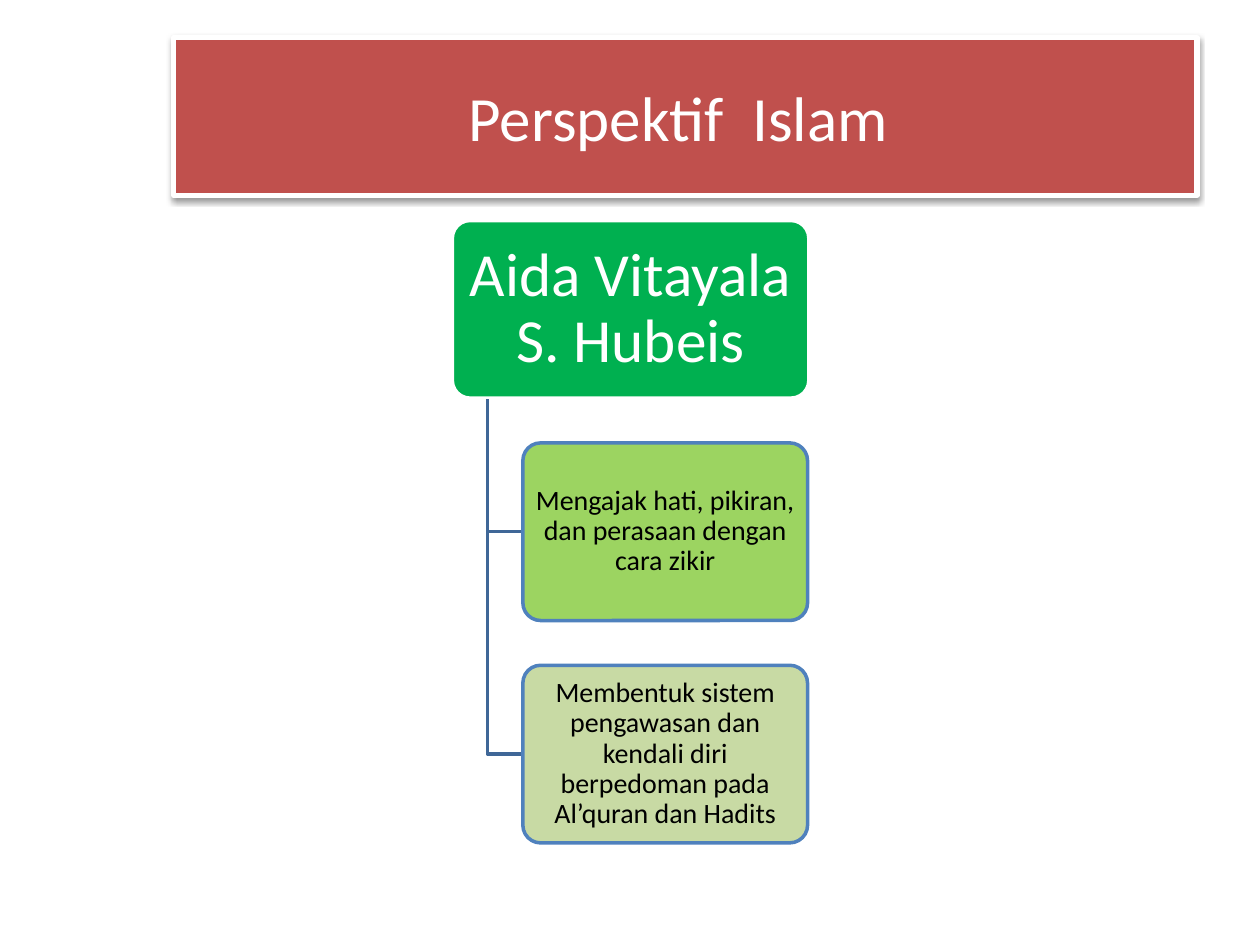
from lxml import etree
from pptx import Presentation
from pptx.dml.color import RGBColor
from pptx.enum.shapes import MSO_SHAPE
from pptx.enum.text import MSO_ANCHOR, PP_ALIGN
from pptx.oxml import parse_xml
from pptx.oxml.ns import qn
from pptx.util import Inches, Pt

RECTANGLE = MSO_SHAPE.RECTANGLE
ROUNDED = MSO_SHAPE.ROUNDED_RECTANGLE
MIDDLE = MSO_ANCHOR.MIDDLE
CENTER = PP_ALIGN.CENTER
NAMESPACE = "http://schemas.openxmlformats.org/drawingml/2006/main"


def color(value):
    return RGBColor.from_string(value)


def add_box(kind, place, fill, line, line_width, text, size, text_color, insets):
    box = page.shapes.add_shape(kind, *[Inches(v) for v in place])
    box.shadow.inherit = False
    box.fill.solid()
    box.fill.fore_color.rgb = color(fill)
    box.line.color.rgb = color(line)
    box.line.width = Pt(line_width)
    frame = box.text_frame
    frame.word_wrap = True
    frame.vertical_anchor = MIDDLE
    frame.margin_left = frame.margin_right = Inches(insets[0])
    frame.margin_top = frame.margin_bottom = Inches(insets[1])
    para = frame.paragraphs[0]
    para.alignment = CENTER
    span = para.add_run()
    span.text = text
    span.font.name = "Calibri"
    span.font.size = Pt(size)
    span.font.color.rgb = color(text_color)
    return box


deck = Presentation()
deck.slide_width = Inches(10)
deck.slide_height = Inches(7.5)
page = deck.slides.add_slide(deck.slide_layouts[6])

# Head of the hierarchy
box_height = 1.41
head_top = 1.75
head = add_box(ROUNDED, (3.59, head_top, 2.83, box_height), "00B050", "FFFFFF", 2,
               "Aida Vitayala S. Hubeis", 35, "FFFFFF", (0.07, 0.05))
head.adjustments[0] = 0.1
head.text_frame.paragraphs[0].line_spacing = 0.9

# Branches, each with an elbow line from the head
trunk_x, branch_x = 3.87, 4.15
step = 1.765
branches = [
    ("Mengajak hati, pikiran, dan perasaan dengan cara zikir", "92D050"),
    ("Membentuk sistem pengawasan dan kendali diri berpedoman pada "
     "Al’quran dan Hadits", "C3D69B"),
]
for number, (text, fill) in enumerate(branches, start=1):
    top = head_top + number * step
    middle = top + box_height / 2
    builder = page.shapes.build_freeform(Inches(trunk_x), Inches(3.17))
    builder.add_line_segments(
        [(Inches(trunk_x), Inches(middle)), (Inches(branch_x), Inches(middle))],
        close=False)
    elbow = builder.convert_to_shape()
    elbow.shadow.inherit = False
    elbow.fill.background()
    elbow.line.color.rgb = color("3F6797")
    elbow.line.width = Pt(2)

    branch = add_box(ROUNDED, (branch_x, top, 2.26, box_height), fill, "4F81BD", 2,
                     text, 16, "000000", (0.03, 0.02))
    branch.adjustments[0] = 0.1
    branch.text_frame.paragraphs[0].line_spacing = 0.9
    # Fill at 90 % opacity
    fill_color = branch.fill._xPr.find(qn("a:solidFill"))[0]
    etree.SubElement(fill_color, qn("a:alpha"), val="90000")

# Title banner with a soft shadow below
banner = add_box(RECTANGLE, (1.38, 0.3, 8.12, 1.25), "C0504D", "FFFFFF", 3,
                 "Perspektif  Islam ", 36, "FFFFFF", (0.1, 0.05))
effects = banner.element.spPr.find(qn("a:effectLst"))
effects.append(parse_xml(
    f'<a:outerShdw xmlns:a="{NAMESPACE}" blurRad="{Pt(3.1)}" dist="{Pt(1.6)}" '
    'dir="5400000" rotWithShape="0">'
    '<a:srgbClr val="000000"><a:alpha val="38000"/></a:srgbClr></a:outerShdw>'))

deck.save("out.pptx")
